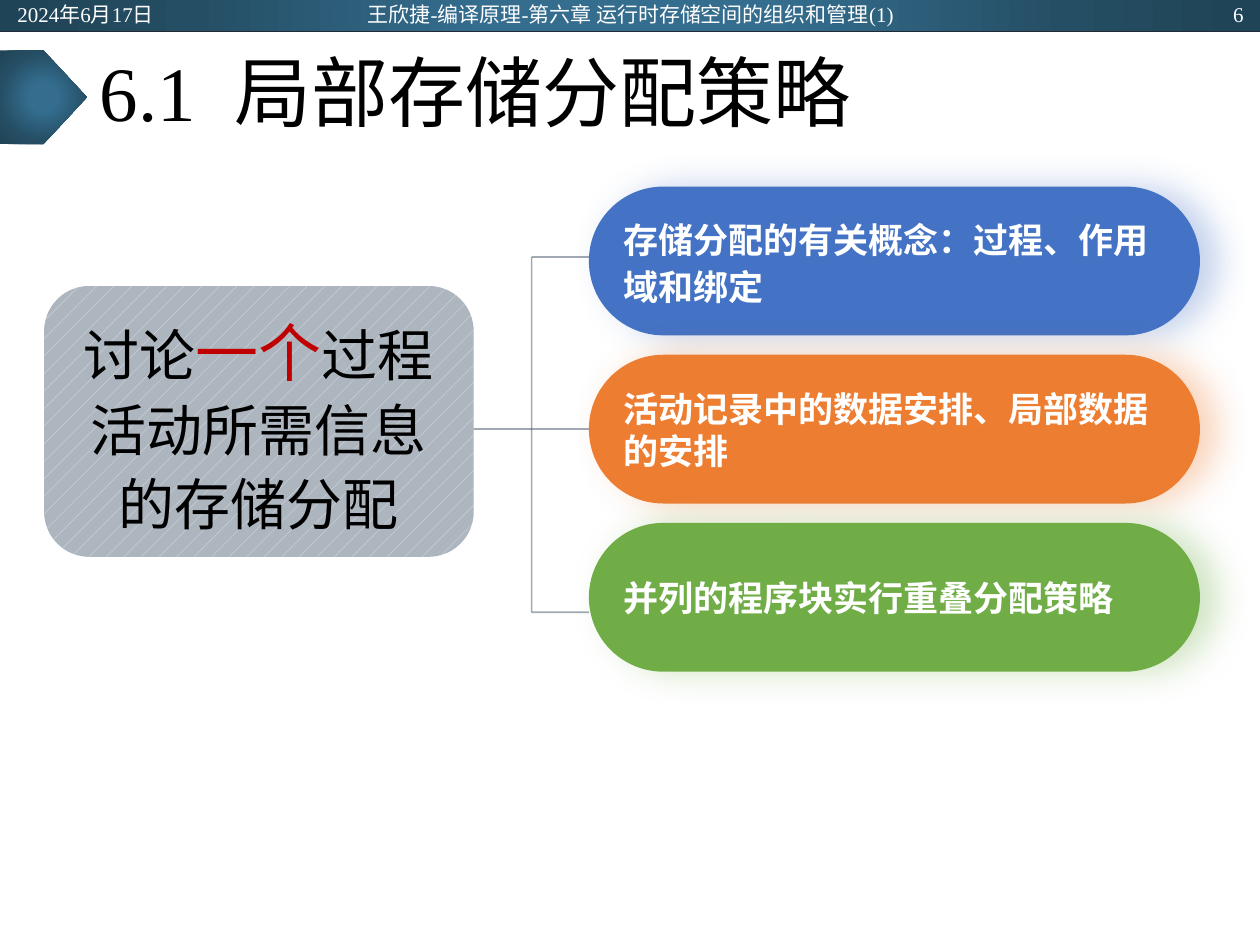
"""Builds the slide on local storage allocation strategy."""
from lxml.etree import SubElement
from pptx import Presentation
from pptx.dml.color import RGBColor
from pptx.enum.dml import MSO_PATTERN
from pptx.enum.shapes import MSO_CONNECTOR, MSO_SHAPE
from pptx.enum.text import MSO_ANCHOR, MSO_AUTO_SIZE, PP_ALIGN
from pptx.oxml import parse_xml
from pptx.oxml.ns import nsdecls, qn
from pptx.util import Pt

BLACK = RGBColor(0x00, 0x00, 0x00)
WHITE = RGBColor(0xFF, 0xFF, 0xFF)
RED = RGBColor(0xC0, 0x00, 0x00)
BLUE = RGBColor(0x44, 0x72, 0xC4)
ORANGE = RGBColor(0xED, 0x7D, 0x31)
GREEN = RGBColor(0x70, 0xAD, 0x47)
SLATE = RGBColor(0x44, 0x54, 0x6A)
NAVY = RGBColor(0x22, 0x2A, 0x35)
GREY = RGBColor(0xAD, 0xB5, 0xBF)
PALE_GREY = RGBColor(0xE4, 0xE6, 0xEA)
BAND_STOPS = (
    (0, RGBColor(0x34, 0x6D, 0x8E)),
    (23, RGBColor(0x34, 0x6D, 0x8E)),
    (69, RGBColor(0x25, 0x4E, 0x64)),
    (97, RGBColor(0x20, 0x44, 0x57)),
)


class SlideBuilder:
    """Holds the fonts and the slide being built."""

    latin = "Times New Roman"
    chinese = "Noto Sans CJK SC"

    def __init__(self, slide):
        self.slide = slide

    def fill_text(self, frame, runs, align=PP_ALIGN.LEFT, spacing=1.0, bold=False, latin=latin):
        frame.word_wrap = True
        frame.auto_size = MSO_AUTO_SIZE.NONE
        frame.vertical_anchor = MSO_ANCHOR.MIDDLE
        paragraph = frame.paragraphs[0]
        paragraph.alignment = align
        paragraph.line_spacing = spacing
        for text, size, color in runs:
            run = paragraph.add_run()
            run.text = text
            run.font.size = Pt(size)
            run.font.bold = bold
            run.font.color.rgb = color
            run.font.name = latin
            SubElement(run.font._element, qn("a:ea"), typeface=self.chinese)
        return paragraph

    def title(self, left, top, width, height, runs):
        heading = self.slide.shapes.title
        heading.left, heading.top = Pt(left), Pt(top)
        heading.width, heading.height = Pt(width), Pt(height)
        return self.fill_text(heading.text_frame, runs, spacing=0.9)

    def header_text(self, left, top, width, height, text, align):
        box = self.slide.shapes.add_textbox(Pt(left), Pt(top), Pt(width), Pt(height))
        self.fill_text(box.text_frame, [(text, 12, WHITE)], align)

    def shape(self, kind, left, top, width, height):
        shape = self.slide.shapes.add_shape(kind, Pt(left), Pt(top), Pt(width), Pt(height))
        shape.line.fill.background()
        shape.shadow.inherit = False
        return shape

    def gradient_shape(self, kind, left, top, width, height):
        shape = self.shape(kind, left, top, width, height)
        shape.fill.gradient()
        stops = "".join(
            f'<a:gs pos="{position * 1000}"><a:srgbClr val="{color}"/></a:gs>'
            for position, color in BAND_STOPS
        )
        radial = parse_xml(
            f'<a:gradFill {nsdecls("a")} rotWithShape="1"><a:gsLst>{stops}</a:gsLst>'
            '<a:path path="circle"><a:fillToRect l="50000" t="50000" r="50000" b="50000"/>'
            "</a:path></a:gradFill>"
        )
        properties = shape._element.spPr
        properties.replace(properties.find(qn("a:gradFill")), radial)

    def topic(self, left, top, width, height, runs):
        topic = self.shape(MSO_SHAPE.ROUNDED_RECTANGLE, left, top, width, height)
        topic.fill.patterned()
        topic.fill.pattern = MSO_PATTERN.PERCENT_5
        topic.fill.fore_color.rgb = PALE_GREY
        topic.fill.back_color.rgb = GREY
        self.fill_text(topic.text_frame, runs, PP_ALIGN.CENTER, 1.1, latin=self.chinese)

    def pill(self, left, top, width, height, text, color, spacing):
        pill = self.shape(MSO_SHAPE.ROUNDED_RECTANGLE, left, top, width, height)
        pill.adjustments[0] = 0.5
        pill.fill.solid()
        pill.fill.fore_color.rgb = color
        glow = parse_xml(
            f'<a:outerShdw {nsdecls("a")} blurRad="{Pt(20)}" dist="{Pt(10)}" dir="0" '
            f'algn="ctr" rotWithShape="0"><a:srgbClr val="{color}">'
            '<a:alpha val="32000"/></a:srgbClr></a:outerShdw>'
        )
        pill._element.spPr.find(qn("a:effectLst")).append(glow)
        self.fill_text(pill.text_frame, [(text, 20, WHITE)], spacing=spacing, bold=True)
        return pill

    def line(self, start, end, color, width, opacity=100):
        line = self.slide.shapes.add_connector(
            MSO_CONNECTOR.STRAIGHT, *(Pt(value) for value in (*start, *end))
        )
        line.line.color.rgb = color
        line.line.width = Pt(width)
        properties = line._element.spPr
        if opacity < 100:
            tint = next(properties.iter(qn("a:srgbClr")))
            SubElement(tint, qn("a:alpha"), val=str(opacity * 1000))
        SubElement(properties, qn("a:effectLst"))
        return line


def main():
    presentation = Presentation()
    presentation.slide_width, presentation.slide_height = Pt(720), Pt(540)
    builder = SlideBuilder(presentation.slides.add_slide(presentation.slide_layouts[5]))

    builder.gradient_shape(MSO_SHAPE.RECTANGLE, 0, 0, 720, 18)
    builder.line((0, 18), (720, 18), NAVY, 0.5)
    builder.gradient_shape(MSO_SHAPE.PENTAGON, 0, 28.8, 49.7, 53.5)
    heading = builder.title(
        49.7, 18, 620.6, 74.9,
        [("6.1", 44, BLACK), (" ", 44, BLACK), ("局部存储分配策略", 44, BLACK)],
    )
    heading.runs[1].font._element.set("spc", "1100")

    builder.header_text(2.9, 0.7, 162, 14.4, "2024年6月17日", PP_ALIGN.LEFT)
    builder.header_text(
        180.7, -2, 359.3, 20,
        "王欣捷-编译原理-第六章 运行时存储空间的组织和管理(1)", PP_ALIGN.CENTER,
    )
    builder.header_text(555.8, 0.7, 162, 14.4, "6", PP_ALIGN.RIGHT)

    builder.topic(
        25.2, 163.4, 245.5, 154.8,
        [("讨论", 32, BLACK), ("一个", 36, RED), ("过程活动所需信息的存储分配", 32, BLACK)],
    )

    pill_left, pill_top, pill_pitch = 336.5, 106.6, 96.1
    points = (
        ("存储分配的有关概念：过程、作用域和绑定", BLUE, 1.1),
        ("活动记录中的数据安排、局部数据的安排", ORANGE, 1.0),
        ("并列的程序块实行重叠分配策略", GREEN, 1.0),
    )
    trunk, upper, middle, lower = 303.8, 146.9, 245.2, 349.9
    branches = (
        ((trunk, upper), (trunk, lower)),
        ((pill_left, upper), (trunk, upper)),
        ((pill_left, middle), (270.7, middle)),
        ((pill_left, lower), (trunk, lower)),
    )
    lines = [builder.line(start, end, SLATE, 1, 50) for start, end in branches]
    pills = [
        builder.pill(pill_left, pill_top + row * pill_pitch, 349.2, 85, *point)
        for row, point in enumerate(points)
    ]
    lines[2].begin_connect(pills[1], 1)

    presentation.save("out.pptx")


if __name__ == "__main__":
    main()
